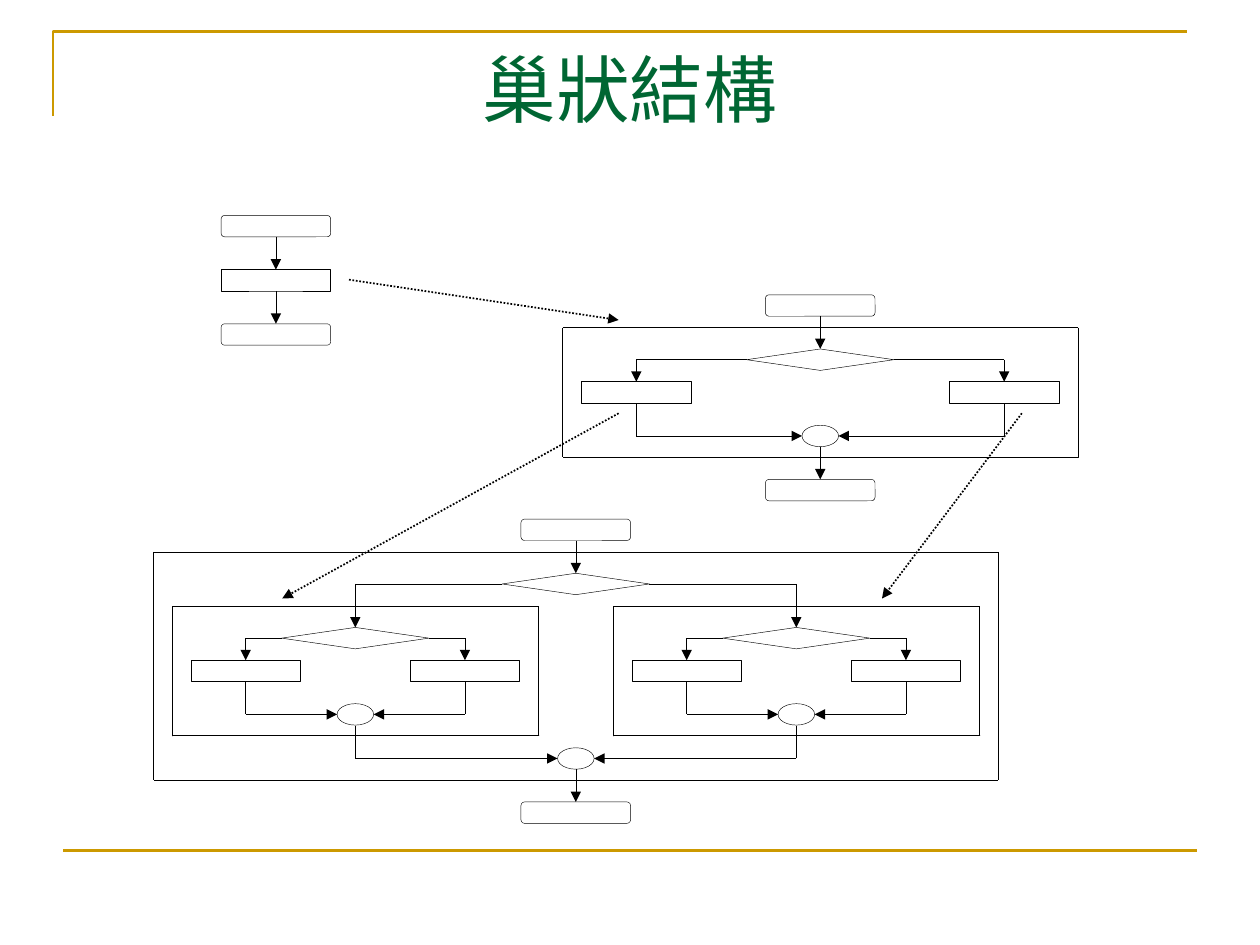
"""Build a slide of flowcharts that unfold into nested branches."""
from dataclasses import dataclass

from lxml import etree
from pptx import Presentation
from pptx.dml.color import RGBColor
from pptx.enum.dml import MSO_LINE
from pptx.enum.shapes import MSO_CONNECTOR, MSO_SHAPE
from pptx.enum.text import MSO_ANCHOR, PP_ALIGN
from pptx.oxml.ns import qn
from pptx.util import Inches, Pt

BOX = MSO_SHAPE.RECTANGLE
CAP = MSO_SHAPE.ROUNDED_RECTANGLE
TEST = MSO_SHAPE.DIAMOND
JOIN = MSO_SHAPE.OVAL
LINE = MSO_CONNECTOR.STRAIGHT
DOT = MSO_LINE.ROUND_DOT
CENTER = PP_ALIGN.CENTER
TOP = MSO_ANCHOR.TOP


@dataclass(frozen=True)
class Theme:
    """Colours, line widths and type of the slide."""

    ink: RGBColor = RGBColor(0, 0, 0)
    paper: RGBColor = RGBColor(255, 255, 255)
    gold: RGBColor = RGBColor(0xCC, 0x99, 0x00)
    green: RGBColor = RGBColor(0x00, 0x66, 0x33)
    font: str = "Times New Roman"
    title: float = 42
    thin: float = 0.25
    link: float = 1
    rule: float = 1.5


@dataclass(frozen=True)
class Branch:
    """A two-way branch: middle, top of test, reach of arms, drop to arms, depth of join."""

    mid: float
    top: float
    reach: float
    drop: float
    depth: float

    @property
    def arms(self) -> tuple[float, float]:
        """Give the middles of the left and right arms."""
        return self.mid - self.reach, self.mid + self.reach

    @property
    def join(self) -> float:
        """Give the height of the join's middle."""
        return self.top + self.depth


@dataclass(frozen=True)
class Link:
    """A dotted arrow from a step to the chart that details it."""

    x1: float
    y1: float
    x2: float
    y2: float


THEME = Theme()
HIGH = 0.17
HALF = HIGH / 2
STEP = 0.26
WIDE = 0.87
TEST_W = 1.17
JOIN_W = 0.29

UPPER = Branch(6.51, 2.77, 1.46, STEP, 0.69)
OUTER = Branch(4.57, 4.55, 1.75, 0.43, 1.47)
INNER = [Branch(mid, 4.98, 0.87, STEP, 0.69) for mid in OUTER.arms]
LINKS = [
    Link(2.77, 2.22, 4.91, 2.54),
    Link(4.91, 3.28, 2.24, 4.75),
    Link(8.11, 3.28, 7, 4.75),
]


def draw_shape(slide, kind, mid: float, top: float, wide: float, high: float = HIGH):
    """Draw a hollow shape around a middle line."""
    shape = slide.shapes.add_shape(
        kind, Inches(mid - wide / 2), Inches(top), Inches(wide), Inches(high))
    shape.shadow.inherit = False
    shape.fill.background()
    shape.line.color.rgb = THEME.ink
    shape.line.width = Pt(THEME.thin)
    return shape


def draw_line(slide, x1: float, y1: float, x2: float, y2: float, tip: bool = False,
              width: float = THEME.thin, color: RGBColor = THEME.ink):
    """Draw a straight line, with an arrow tip at its end on request."""
    line = slide.shapes.add_connector(LINE, Inches(x1), Inches(y1), Inches(x2), Inches(y2))
    line.line.color.rgb = color
    line.line.width = Pt(width)
    props = line._element.spPr
    etree.SubElement(props, qn("a:effectLst"))
    if tip:
        etree.SubElement(props.find(qn("a:ln")), qn("a:tailEnd"), type="triangle")
    return line


def draw_frame(slide, mid: float, top: float, wide: float, high: float) -> None:
    """Draw the dotted outline around a branch."""
    draw_shape(slide, BOX, mid, top, wide, high).line.dash_style = DOT


def draw_ends(slide, mid: float, top: float, base: float) -> None:
    """Draw the start cap above a chart and the end cap below it."""
    draw_shape(slide, CAP, mid, top - STEP - HIGH, WIDE)
    draw_line(slide, mid, top - STEP, mid, top, tip=True)
    draw_line(slide, mid, base, mid, base + STEP, tip=True)
    draw_shape(slide, CAP, mid, base + STEP, WIDE)


def draw_split(slide, branch: Branch) -> None:
    """Draw the test, the arms and the join of a branch."""
    test = draw_shape(slide, TEST, branch.mid, branch.top, TEST_W)
    test.fill.solid()
    test.fill.fore_color.rgb = THEME.paper
    level = branch.top + HALF
    for side, arm in zip((-1, 1), branch.arms):
        draw_line(slide, branch.mid + side * TEST_W / 2, level, arm, level)
        draw_line(slide, arm, level, arm, branch.top + branch.drop, tip=True)
        draw_line(slide, arm, branch.join - STEP, arm, branch.join)
        draw_line(slide, arm, branch.join, branch.mid + side * JOIN_W / 2, branch.join, tip=True)
    draw_shape(slide, JOIN, branch.mid, branch.join - HALF, JOIN_W)


def draw_simple(slide, branch: Branch) -> None:
    """Draw a framed branch with one step on each arm."""
    draw_split(slide, branch)
    for arm in branch.arms:
        draw_shape(slide, BOX, arm, branch.top + branch.drop, WIDE)
    draw_frame(slide, branch.mid, branch.top - HIGH, 2 * branch.reach + TEST_W, 1.03)


def draw_rules(slide) -> None:
    """Draw the gold corner and the gold base line."""
    path = slide.shapes.build_freeform(Inches(0.42), Inches(0.92))
    path.add_line_segments(
        [(Inches(0.42), Inches(0.25)), (Inches(9.42), Inches(0.25))], close=False)
    corner = path.convert_to_shape()
    corner.shadow.inherit = False
    corner.fill.background()
    corner.line.color.rgb = THEME.gold
    corner.line.width = Pt(THEME.rule)
    draw_line(slide, 0.5, 6.75, 9.5, 6.75, width=THEME.rule, color=THEME.gold)


def draw_title(slide, text: str) -> None:
    """Write the slide title."""
    frame = slide.shapes.add_textbox(
        Inches(0.5), Inches(0.3), Inches(9), Inches(1.25)).text_frame
    frame.word_wrap = True
    frame.vertical_anchor = TOP
    para = frame.paragraphs[0]
    para.alignment = CENTER
    run = para.add_run()
    run.text = text
    run.font.name = THEME.font
    run.font.size = Pt(THEME.title)
    run.font.color.rgb = THEME.green


def main() -> None:
    """Build and save the slide."""
    deck = Presentation()
    deck.slide_width, deck.slide_height = Inches(10), Inches(7.5)
    slide = deck.slides.add_slide(deck.slide_layouts[6])
    draw_rules(slide)
    draw_ends(slide, 2.19, 2.14, 2.31)
    draw_shape(slide, BOX, 2.19, 2.14, WIDE)
    for branch in (UPPER, OUTER):
        draw_ends(slide, branch.mid, branch.top, branch.join + HALF)
    draw_split(slide, OUTER)
    for branch in (UPPER, *INNER):
        draw_simple(slide, branch)
    draw_frame(slide, OUTER.mid, OUTER.top - HIGH, 6.7, 1.81)
    for link in LINKS:
        line = draw_line(slide, link.x1, link.y1, link.x2, link.y2, tip=True, width=THEME.link)
        line.line.dash_style = DOT
    draw_title(slide, "巢狀結構")
    deck.save("out.pptx")


if __name__ == "__main__":
    main()
